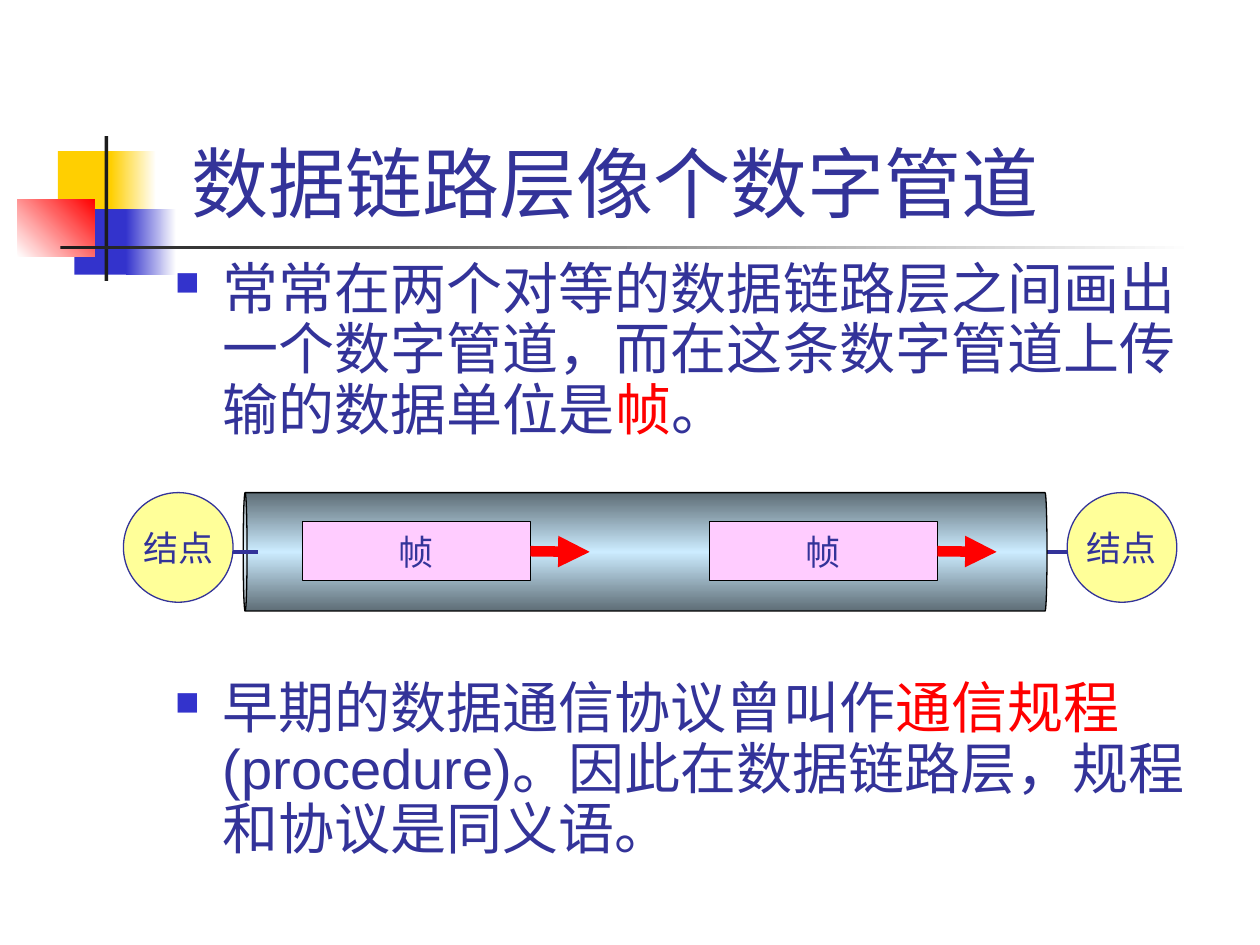
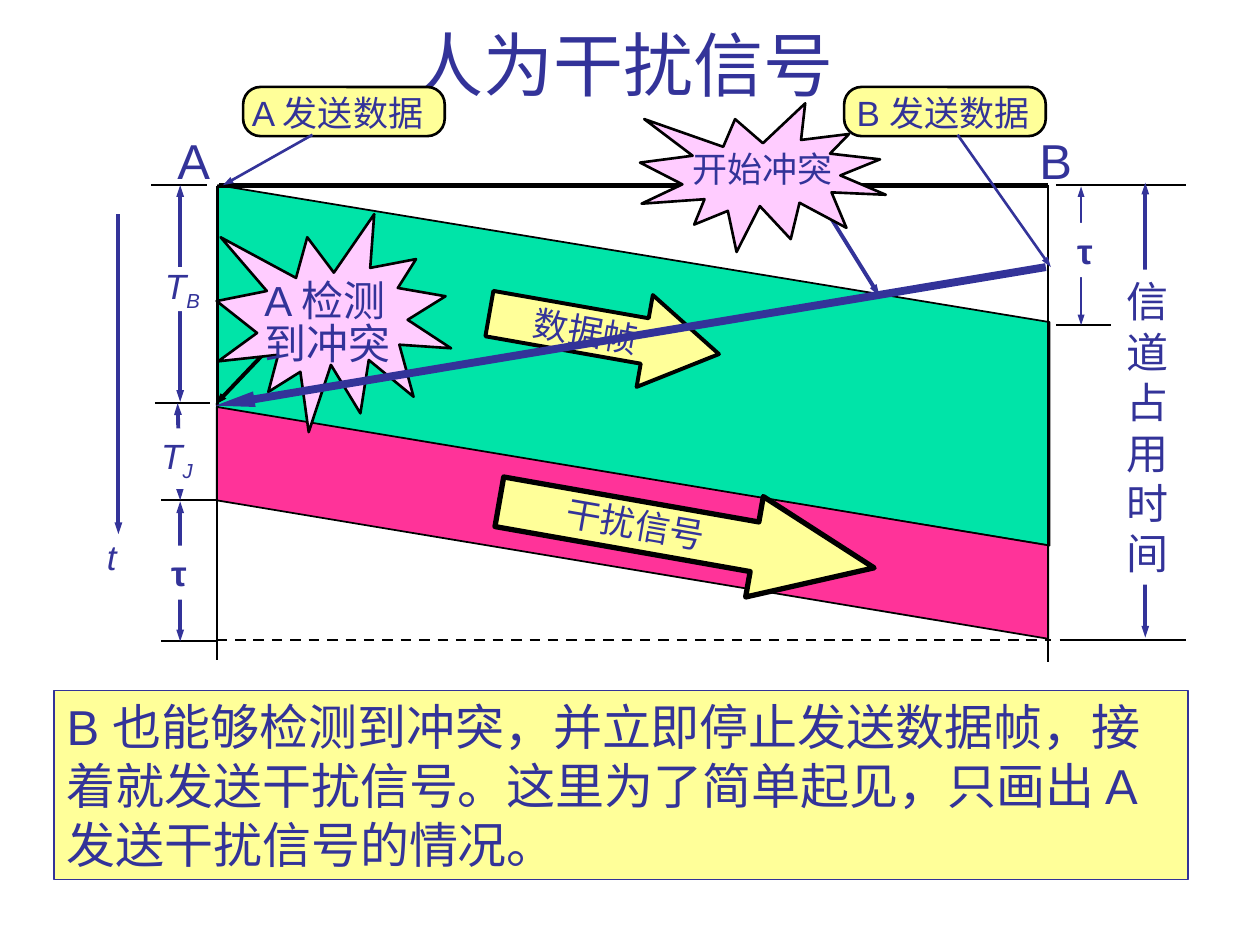
from lxml import etree
from pptx import Presentation
from pptx.dml.color import RGBColor
from pptx.enum.dml import MSO_LINE
from pptx.enum.shapes import MSO_CONNECTOR, MSO_SHAPE
from pptx.enum.text import MSO_ANCHOR, PP_ALIGN
from pptx.oxml.ns import qn
from pptx.util import Inches, Pt

RECT = MSO_SHAPE.RECTANGLE
ROUND = MSO_SHAPE.ROUNDED_RECTANGLE
OVAL = MSO_SHAPE.OVAL
CAN = MSO_SHAPE.CAN
SLANT = MSO_SHAPE.PARALLELOGRAM
ARROW = MSO_SHAPE.RIGHT_ARROW
BURST = MSO_SHAPE.EXPLOSION1
STRAIGHT = MSO_CONNECTOR.STRAIGHT
DASH = MSO_LINE.DASH
LEFT, CENTER = PP_ALIGN.LEFT, PP_ALIGN.CENTER
TOP, MIDDLE, BOTTOM = MSO_ANCHOR.TOP, MSO_ANCHOR.MIDDLE, MSO_ANCHOR.BOTTOM

HUES = {
    "ink": "333399", "blue": "3333CC", "gold": "FFCF01", "red": "FF0000",
    "dark": "1C1C1C", "black": "000000", "white": "FFFFFF", "cream": "FFFF99",
    "pink": "FFCCFF", "green": "00E4A8", "rose": "FF3399",
    "steel": "5E6D76", "sky": "CCECFF",
}
RGB = {name: RGBColor.from_string(code) for name, code in HUES.items()}


def box(slide, kind, at, fill=None, edge=None, width=0.75, text=(), size=20,
        font="Arial", align=LEFT, anchor=TOP, wrap=False, turn=0, adjust=(),
        angle=0):
    place = [Inches(v) for v in at]
    if kind is None:
        shape = slide.shapes.add_textbox(*place)
    else:
        shape = slide.shapes.add_shape(kind, *place)
        shape.shadow.inherit = False
        for i, value in enumerate(adjust):
            shape.adjustments[i] = value
        if isinstance(fill, tuple):
            shape.fill.gradient()
            grad = shape._element.spPr.find(qn("a:gradFill"))
            grad.set("rotWithShape", "0")
            for child in list(grad):
                grad.remove(child)
            stops = etree.SubElement(grad, qn("a:gsLst"))
            for i, hue in enumerate(fill):
                stop = etree.SubElement(stops, qn("a:gs"))
                stop.set("pos", str(100000 * i // (len(fill) - 1)))
                etree.SubElement(stop, qn("a:srgbClr")).set("val", HUES[hue])
            ramp = etree.SubElement(grad, qn("a:lin"))
            ramp.set("ang", str(angle * 60000))
            ramp.set("scaled", "0")
        else:
            shape.fill.solid()
            shape.fill.fore_color.rgb = RGB[fill]
        if edge:
            shape.line.color.rgb = RGB[edge]
            shape.line.width = Pt(width)
        else:
            shape.line.fill.background()
    shape.rotation = turn
    frame = shape.text_frame
    frame.word_wrap = wrap
    frame.vertical_anchor = anchor
    for i, runs in enumerate(text):
        para = frame.add_paragraph() if i else frame.paragraphs[0]
        para.alignment = align
        for words, style in runs:
            run = para.add_run()
            run.text = words
            run.font.size = Pt(size)
            run.font.name = font
            run.font.color.rgb = RGB["red" if style == "red" else "ink"]
            run.font.bold = style == "bold"
            run.font.italic = style in ("italic", "sub")
            if style == "sub":
                run._r.get_or_add_rPr().set("baseline", "-25000")
    return shape


def line(slide, start, end, hue="black", width=1, ends="", wide="sm", long="med"):
    link = slide.shapes.add_connector(STRAIGHT, *[Inches(v) for v in (*start, *end)])
    link.line.color.rgb = RGB[hue]
    link.line.width = Pt(width)
    stroke = link.line._get_or_add_ln()
    for tag in ("headEnd", "tailEnd"):
        if tag[:4] in ends:
            tip = etree.SubElement(stroke, qn("a:" + tag))
            tip.set("type", "triangle")
            tip.set("w", wide)
            tip.set("len", long)
    etree.SubElement(link._element.spPr, qn("a:effectLst"))
    return link


deck = Presentation()
deck.slide_width, deck.slide_height = Inches(10), Inches(7.5)
pages = []
for words, size, at in [
    ("数据链路层像个数字管道 ", 44, (1.2, 1.02, 7.5, 0.84)),
    ("人为干扰信号 ", 40, (0.75, 0.13, 8.52, 0.76)),
]:
    page = deck.slides.add_slide(deck.slide_layouts[5])
    title = page.shapes.title
    title.left, title.top, title.width, title.height = [Inches(v) for v in at]
    title.text_frame.vertical_anchor = BOTTOM
    para = title.text_frame.paragraphs[0]
    para.alignment = CENTER
    run = para.add_run()
    run.text = words
    run.font.size = Pt(size)
    run.font.name = "Arial"
    run.font.color.rgb = RGB["ink"]
    pages.append(page)
pipe, jam = pages

for at, fill, angle in [
    ((0.46, 1.2, 0.48, 0.52), "gold", 0),
    ((0.88, 1.2, 0.36, 0.52), ("gold", "white"), 0),
    ((0.59, 1.66, 0.46, 0.52), "blue", 0),
    ((1, 1.66, 0.4, 0.52), ("blue", "white"), 0),
    ((0.14, 1.58, 0.61, 0.46), ("white", "red"), 315),
    ((0.83, 1.08, 0.03, 1.15), "dark", 0),
    ((0.48, 1.95, 9, 0.03), ("dark", "white"), 0),
]:
    box(pipe, RECT, at, fill, angle=angle)

body = box(pipe, None, (1.29, 2.02, 8.5, 5.29), size=32, wrap=True, text=[
    [("常常在两个对等的数据链路层之间画出一个数字管道，而在这条数字管道上传输的数据单位是", ""),
     ("帧", "red"), ("。", "")],
    [("早期的数据通信协议曾叫作", ""), ("通信规程", "red"),
     ("(procedure)。因此在数据链路层，规程和协议是同义语。", "")],
])
for para, gap in zip(body.text_frame.paragraphs, (8, 136)):
    para.line_spacing = 0.9
    para.space_before = Pt(gap)
    props = para._p.get_or_add_pPr()
    props.set("marL", str(Inches(0.38)))
    props.set("indent", str(Inches(-0.38)))
    tint = etree.SubElement(props, qn("a:buClr"))
    etree.SubElement(tint, qn("a:srgbClr")).set("val", HUES["blue"])
    etree.SubElement(props, qn("a:buSzPct")).set("val", "60000")
    etree.SubElement(props, qn("a:buChar")).set("char", "■")

label = dict(font="Roboto", align=CENTER, anchor=MIDDLE)
for left in (0.98, 8.47):
    box(pipe, OVAL, (left, 3.91, 0.87, 0.87), "cream", "ink",
        text=[[("结点", "")]], **label)
line(pipe, (1.85, 4.38), (8.47, 4.38), "ink", 2.25)
box(pipe, CAN, (4.65, 1.19, 0.94, 6.38), ("steel", "sky", "steel"), "black",
    turn=270, adjust=[0.033], angle=90)
line(pipe, (1.85, 4.38), (2.05, 4.38), "ink", 2.25)
for left in (2.4, 5.63):
    cell = box(pipe, RECT, (left, 4.14, 1.81, 0.47), "pink", "black",
               text=[[("帧", "")]], **label)
    push = line(pipe, (left + 1.81, 4.38), (left + 2.28, 4.38), "red", 6,
                "tail", wide="med")
    push.begin_connect(cell, 3)

box(jam, SLANT, (3.6, -0.4, 2.86, 6.6), "green", "black", 1, turn=90, adjust=[0.38])
box(jam, ARROW, (3.87, 2.28, 1.85, 0.74), "cream", "black", 2.25, turn=10,
    adjust=[0.494, 0.808], text=[[("数据帧", "")]], align=CENTER, anchor=MIDDLE)
box(jam, SLANT, (4.1, 0.85, 1.84, 6.6), "rose", "black", 1, turn=90, adjust=[0.597])
box(jam, ARROW, (3.94, 3.84, 3.02, 0.81), "cream", "black", 3, turn=10,
    adjust=[0.494, 1.19])
box(jam, None, (4.39, 3.94, 1.31, 0.44), text=[[("干扰信号", "")]], turn=9.9)

for start, end in [
    ((1.28, 3.97), (1.72, 3.97)),
    ((1.28, 5.09), (1.72, 5.09)),
    ((1.23, 3.2), (1.67, 3.2)),
    ((1.2, 1.47), (1.64, 1.47)),
    ((8.38, 1.47), (9.41, 1.47)),
    ((8.38, 2.58), (8.82, 2.58)),
    ((8.41, 5.08), (9.41, 5.08)),
    ((1.72, 1.48), (1.72, 5.24)),
    ((8.32, 1.47), (8.32, 5.25)),
]:
    line(jam, start, end)
line(jam, (1.74, 1.47), (8.32, 1.47), width=3)
floor = line(jam, (1.72, 5.08), (8.34, 5.08), width=1.5)
floor.line.dash_style = DASH

for start, end, width in [
    ((1.43, 1.47), (1.43, 3.19), 2.25),
    ((1.41, 3.2), (1.43, 3.97), 2.25),
    ((1.43, 3.98), (1.43, 5.09), 2.25),
    ((8.58, 1.48), (8.58, 2.58), 1.5),
    ((9.09, 1.45), (9.09, 5.06), 2.25),
]:
    line(jam, start, end, "ink", width, "head tail")
line(jam, (0.94, 1.7), (0.94, 4.24), "ink", 2.25, "tail")

box(jam, RECT, (1.27, 2.12, 0.37, 0.35), "white")
for kind, at, runs, size in [
    (None, (1.21, 2.05, 0.48, 0.48), [("T", "italic"), ("B", "sub")], 20),
    (RECT, (1.18, 3.4, 0.45, 0.48), [("T", "italic"), ("J", "sub")], 20),
    (RECT, (1.26, 4.33, 0.32, 0.43), [("τ", "bold")], 20),
    (RECT, (8.45, 1.77, 0.32, 0.43), [("τ", "bold")], 20),
    (None, (0.75, 4.2, 0.27, 0.44), [("t", "italic")], 20),
    (None, (1.31, 0.99, 0.46, 0.56), [("A", "")], 28),
    (None, (8.15, 0.99, 0.46, 0.56), [("B", "")], 28),
]:
    box(jam, kind, at, "white", text=[runs], size=size)
box(jam, RECT, (8.84, 2.14, 0.53, 2.5), "white", size=24,
    text=[[(sign, "")] for sign in "信道占用时间"])

line(jam, (2.31, 2.58), (1.71, 3.21), "black", 2.25, "tail")
box(jam, BURST, (1.72, 1.7, 1.86, 1.73), "pink", "black", 1.5)
found = box(jam, None, (2, 2.19, 1.26, 0.78), size=24,
            text=[[("A 检测", "")], [("到冲突", "")]])
for para in found.text_frame.paragraphs:
    para.line_spacing = 0.85
line(jam, (6.57, 1.69), (6.98, 2.35), "ink", 2.25, "tail")
box(jam, BURST, (5.08, 0.82, 1.95, 1.18), "pink", "black", 1.5)
box(jam, None, (5.4, 1.12, 1.31, 0.44), text=[[("开始冲突", "")]])

for left, inset, words, start, end in [
    (1.93, 1.9, "A 发送数据", (2.48, 1.07), (1.77, 1.47)),
    (6.7, 6.7, "B 发送数据", (7.6, 1.07), (8.34, 2.12)),
]:
    box(jam, ROUND, (left, 0.69, 1.6, 0.39), "cream", "black", 1.5, adjust=[0.354])
    box(jam, None, (inset, 0.68, 1.64, 0.44), text=[[(words, "")]])
    line(jam, start, end, "ink", 1.5, "tail")
line(jam, (8.3, 2.12), (1.71, 3.22), "ink", 4.5, "tail", long="lg")

box(jam, RECT, (0.43, 5.48, 9, 1.5), "cream", "ink", size=28, wrap=True, text=[[
    ("B 也能够检测到冲突，并立即停止发送数据帧，接着就发送干扰信号。这里为了简单起见，只画出 A 发送干扰信号的情况。", "")]])

deck.save("out.pptx")
